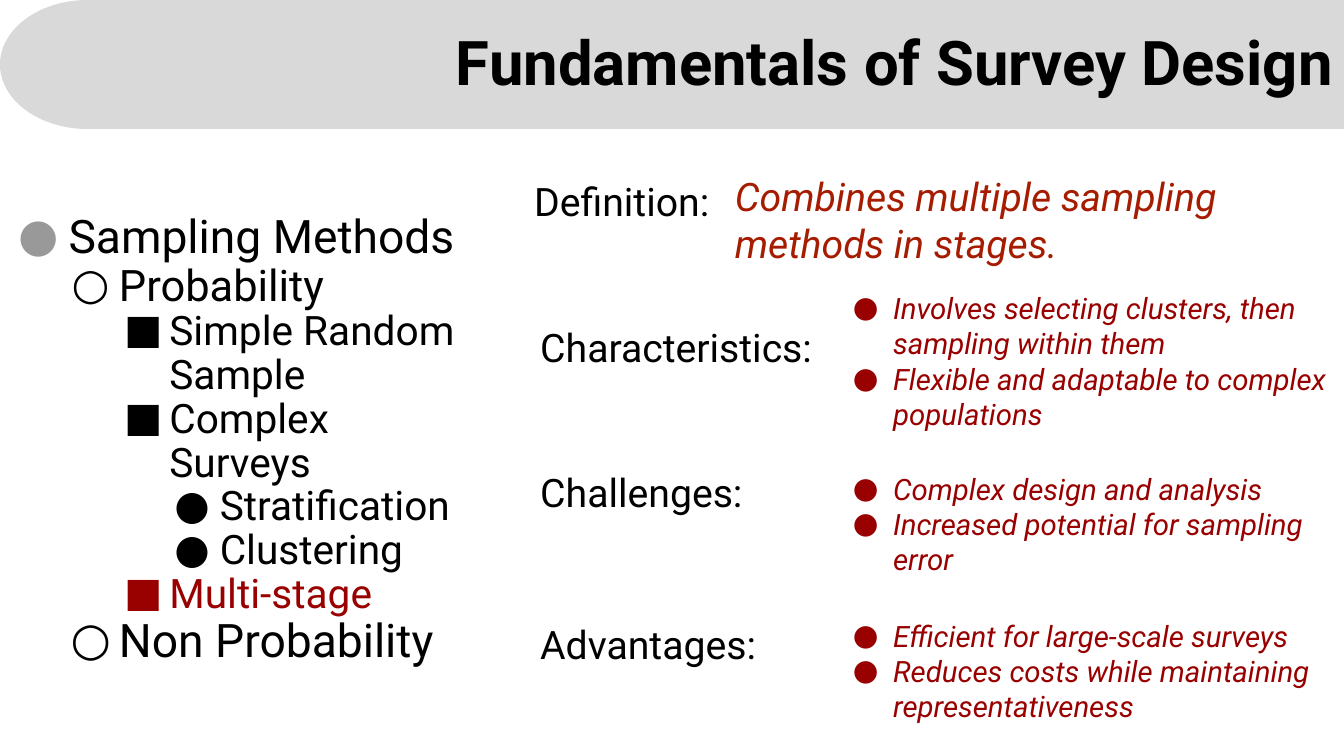
"""Build a slide on multi-stage sampling in survey design."""
from dataclasses import dataclass

from lxml import etree
from pptx import Presentation
from pptx.dml.color import RGBColor
from pptx.enum.shapes import MSO_SHAPE
from pptx.enum.text import MSO_ANCHOR, MSO_AUTO_SIZE, PP_ALIGN
from pptx.oxml.ns import qn
from pptx.util import Inches, Pt

OVAL, RECT = MSO_SHAPE.OVAL, MSO_SHAPE.RECTANGLE
TOP, RIGHT = MSO_ANCHOR.TOP, PP_ALIGN.RIGHT
FIXED, GROW = MSO_AUTO_SIZE.NONE, MSO_AUTO_SIZE.SHAPE_TO_FIT_TEXT
FONT = "Roboto"
BLACK = RGBColor(0x00, 0x00, 0x00)
GREY = RGBColor(0x99, 0x99, 0x99)
SILVER = RGBColor(0xD9, 0xD9, 0xD9)
RED = RGBColor(0x99, 0x00, 0x00)
RUST = RGBColor(0xA6, 0x1C, 0x00)


@dataclass
class Box:
    left: float
    top: float
    width: float
    height: float

    def place(self) -> tuple:
        return tuple(Inches(v) for v in (self.left, self.top, self.width, self.height))


@dataclass
class Line:
    text: str
    size: int
    color: RGBColor = BLACK
    bold: bool = False
    slant: bool = False
    level: int = 0
    mark: str = ""
    tint: RGBColor | None = None
    hang: float = 0.45
    space: float = 1.0


@dataclass
class Topic:
    label: str
    spot: Box
    points: list[str]
    frame: Box


def add_mark(para, line: Line) -> None:
    props = para._p.get_or_add_pPr()
    props.set("marL", str(Inches(0.5 * (line.level + 1))))
    props.set("indent", str(-Inches(line.hang)))
    color = etree.SubElement(props, qn("a:buClr"))
    etree.SubElement(color, qn("a:srgbClr"), val=str(line.tint or line.color))
    etree.SubElement(props, qn("a:buFont"), typeface=FONT)
    etree.SubElement(props, qn("a:buChar"), char=line.mark)


def fill_text(shape, lines: list[Line], fit=FIXED) -> None:
    frame = shape.text_frame
    frame.text = "\n".join(line.text for line in lines)
    frame.word_wrap = True
    frame.auto_size = fit
    frame.vertical_anchor = TOP
    frame.margin_left = frame.margin_right = Inches(0.1)
    frame.margin_top = frame.margin_bottom = Inches(0.1)
    for para, line in zip(frame.paragraphs, lines):
        para.level = line.level
        if line.mark:
            add_mark(para, line)
        para.line_spacing = line.space
        para.space_before = Pt(0)
        font = para.runs[0].font
        font.name, font.size = FONT, Pt(line.size)
        font.bold, font.italic = line.bold, line.slant
        font.color.rgb = line.color


def add_text(slide, box: Box, lines: list[Line], fit=FIXED) -> None:
    fill_text(slide.shapes.add_textbox(*box.place()), lines, fit)


def move(shape, box: Box) -> None:
    shape.left, shape.top, shape.width, shape.height = box.place()


def add_band(slide) -> None:
    group = slide.shapes.add_group_shape()
    for kind, box in ((OVAL, Box(0, 0, 1.74, 1.28)), (RECT, Box(0.89, 0, 12.44, 1.28))):
        part = group.shapes.add_shape(kind, *box.place())
        part.shadow.inherit = False
        part.fill.solid()
        part.fill.fore_color.rgb = SILVER
        part.line.fill.background()
    slide.shapes.title.element.addprevious(group.element)


def branch(text: str, size: int, level: int, mark: str, **style) -> Line:
    return Line(text, size, level=level, mark=mark, space=0.9, **style)


METHODS = [
    branch("Sampling Methods", 33, 0, "●", tint=GREY, hang=0.5),
    branch("Probability", 31, 1, "○", hang=0.47),
    branch("Simple Random Sample", 29, 2, "■"),
    branch("Complex Surveys", 29, 2, "■"),
    branch("Stratification", 29, 3, "●"),
    branch("Clustering", 29, 3, "●"),
    branch("Multi-stage", 29, 2, "■", color=RED),
    branch("Non Probability", 33, 1, "○", hang=0.48),
]
TOPICS = [
    Topic("Characteristics:", Box(5.26, 3.11, 7.74, 1.28),
          ["Involves selecting clusters, then sampling within them",
           "Flexible and adaptable to complex populations"],
          Box(8.26, 2.78, 5.52, 1.62)),
    Topic("Challenges:", Box(5.26, 4.55, 7.74, 1.28),
          ["Complex design and analysis", "Increased potential for sampling error"],
          Box(8.26, 4.57, 5.07, 1.26)),
    Topic("Advantages:", Box(5.26, 6.05, 7.74, 1.28),
          ["Efficient for large-scale surveys",
           "Reduces costs while maintaining representativeness"],
          Box(8.26, 6.03, 5.52, 1.26)),
]


def main() -> None:
    deck = Presentation()
    deck.slide_width, deck.slide_height = Inches(13.33), Inches(7.5)
    slide = deck.slides.add_slide(deck.slide_layouts[1])
    add_band(slide)

    title = slide.shapes.title
    move(title, Box(1.41, 0.22, 11.92, 0.84))
    fill_text(title, [Line("Fundamentals of Survey Design", 44, bold=True, space=0.9)])
    title.text_frame.paragraphs[0].alignment = RIGHT

    body = slide.placeholders[1]
    move(body, Box(0.08, 2.02, 4.73, 4.96))
    fill_text(body, METHODS, GROW)

    add_text(slide, Box(5.2, 1.66, 7.74, 1.28), [Line("Definition:", 28)])
    add_text(slide, Box(7.19, 1.61, 6.15, 1.17),
             [Line("Combines multiple sampling methods in stages.", 28, RUST, slant=True)])
    for topic in TOPICS:
        add_text(slide, topic.spot, [Line(topic.label, 28)])
        points = [Line(text, 21, RED, slant=True, mark="●", hang=0.4)
                  for text in topic.points]
        add_text(slide, topic.frame, points, GROW)

    deck.save("out.pptx")


if __name__ == "__main__":
    main()
